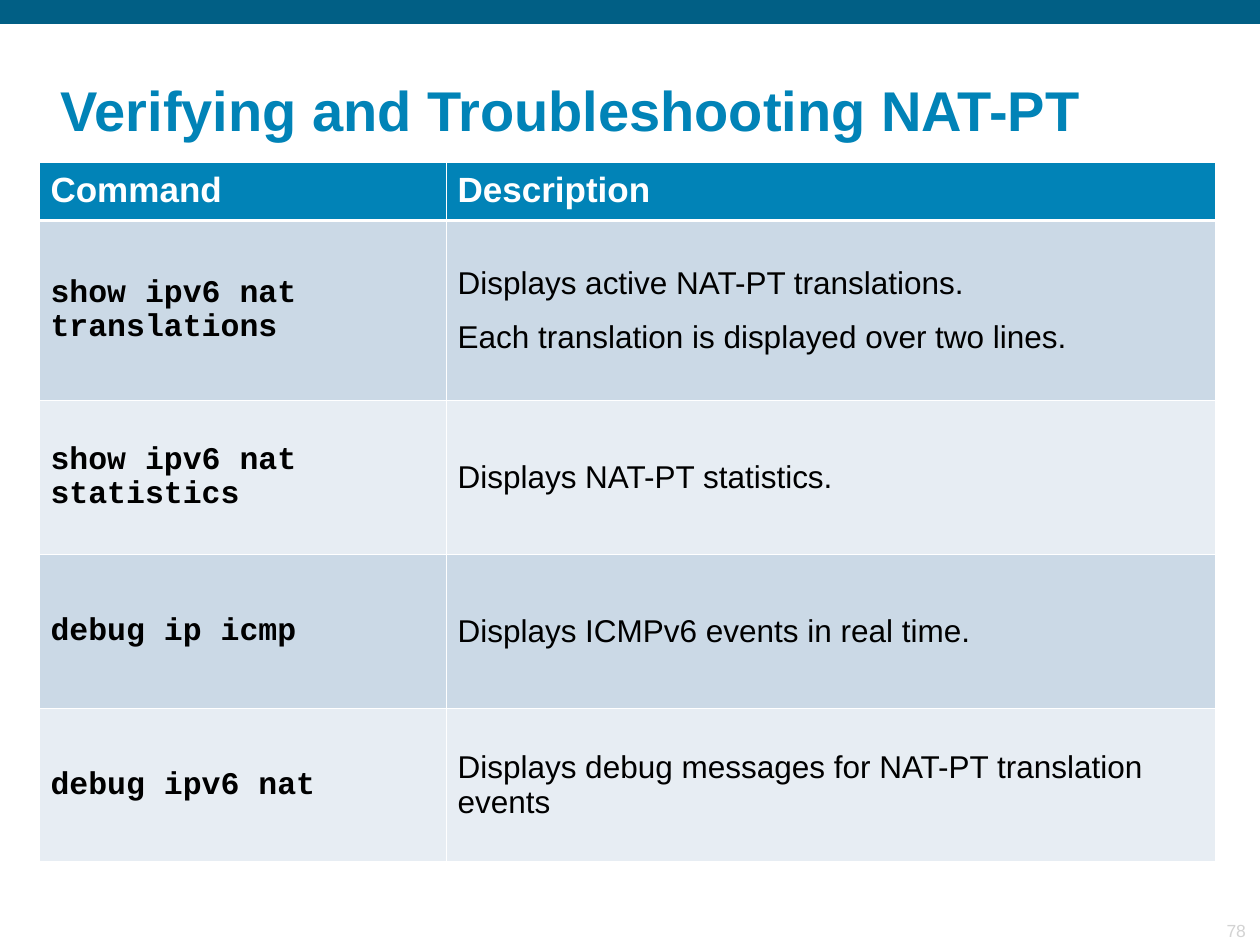
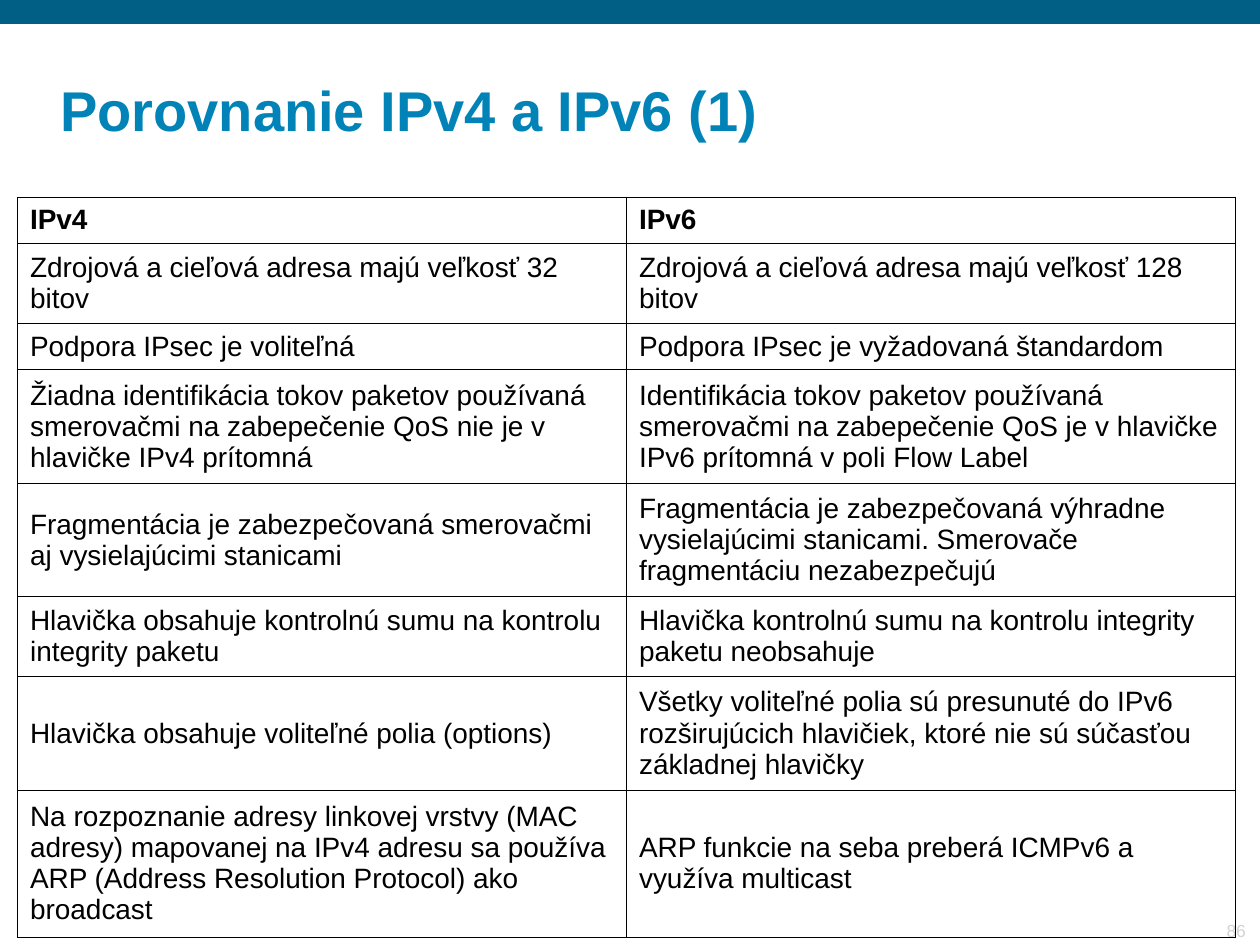
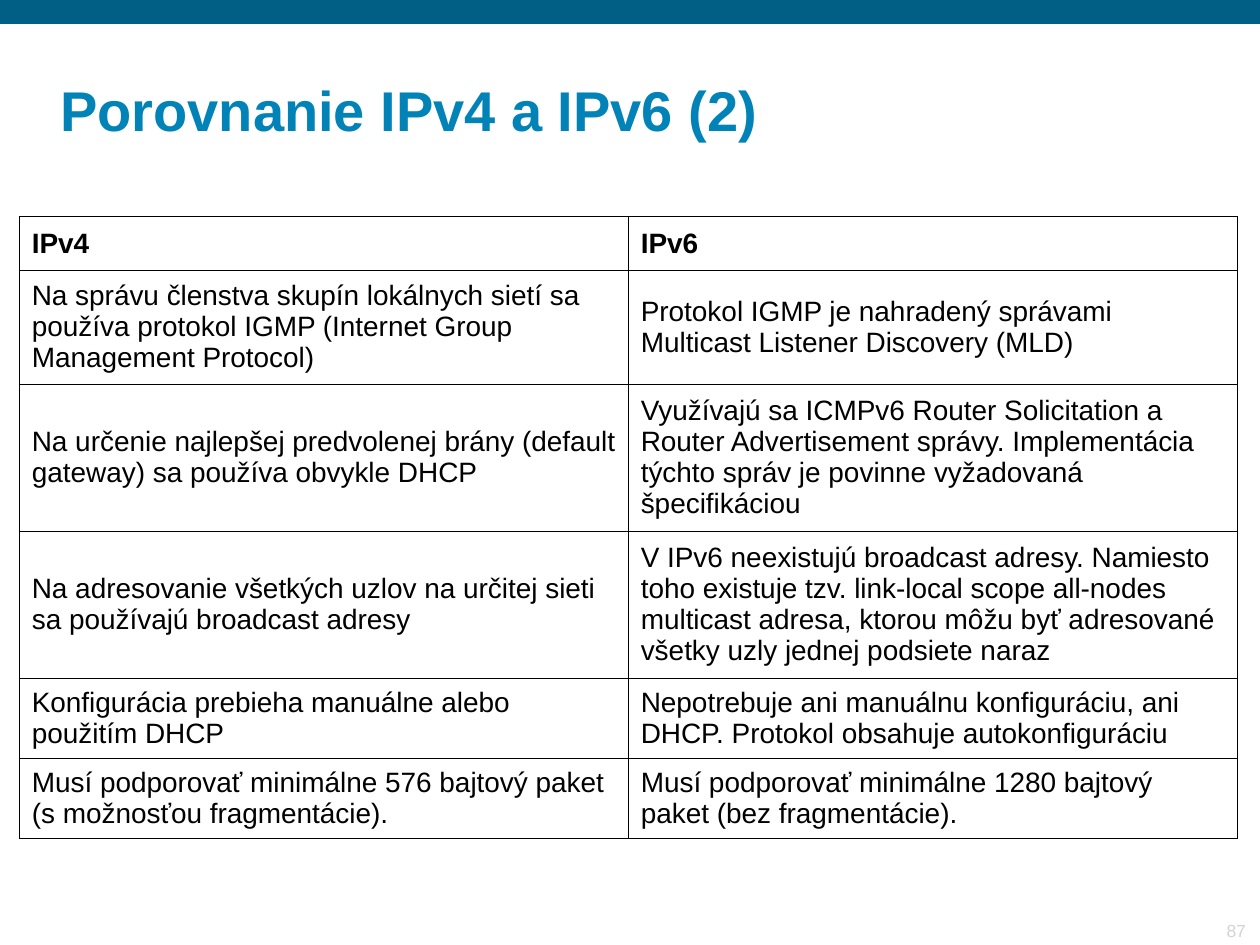
from lxml.etree import SubElement
from pptx import Presentation
from pptx.dml.color import RGBColor
from pptx.enum.shapes import MSO_SHAPE as SHAPE
from pptx.enum.text import MSO_ANCHOR as ANCHOR, MSO_AUTO_SIZE as AUTO, PP_ALIGN as ALIGN
from pptx.oxml.ns import qn
from pptx.util import Pt

BAND = RGBColor(0x01, 0x5F, 0x85)
ACCENT = RGBColor(0x01, 0x83, 0xB7)
ROW_DARK = RGBColor(0xCB, 0xD9, 0xE6)
ROW_LIGHT = RGBColor(0xE7, 0xED, 0xF3)
GREY = RGBColor(0xD3, 0xD3, 0xD3)
WHITE = RGBColor(0xFF, 0xFF, 0xFF)
BLACK = RGBColor(0x00, 0x00, 0x00)
SANS, MONO = "Arial", "Courier New"
THIN, THICK = 0.45, 1.47

COMMANDS = [
    ("Command", "Description"),
    ("show ipv6 nat translations",
     "Displays active NAT-PT translations.\nEach translation is displayed over two lines."),
    ("show ipv6 nat statistics", "Displays NAT-PT statistics."),
    ("debug ip icmp", "Displays ICMPv6 events in real time."),
    ("debug ipv6 nat", "Displays debug messages for NAT-PT translation events"),
]
COMPARISON_1 = [
    ("IPv4", "IPv6"),
    ("Zdrojová a cieľová adresa majú veľkosť 32 bitov",
     "Zdrojová a cieľová adresa majú veľkosť 128 bitov"),
    ("Podpora IPsec je voliteľná", "Podpora IPsec je vyžadovaná štandardom"),
    ("Žiadna identifikácia tokov paketov používaná smerovačmi na zabepečenie QoS "
     "nie je v hlavičke IPv4 prítomná",
     "Identifikácia tokov paketov používaná smerovačmi na zabepečenie QoS "
     "je v hlavičke IPv6 prítomná v poli Flow Label"),
    ("Fragmentácia je zabezpečovaná smerovačmi aj vysielajúcimi stanicami",
     "Fragmentácia je zabezpečovaná výhradne vysielajúcimi stanicami. "
     "Smerovače fragmentáciu nezabezpečujú"),
    ("Hlavička obsahuje kontrolnú sumu na kontrolu integrity paketu",
     "Hlavička kontrolnú sumu na kontrolu integrity paketu neobsahuje"),
    ("Hlavička obsahuje voliteľné polia (options)",
     "Všetky voliteľné polia sú presunuté do IPv6 rozširujúcich hlavičiek, "
     "ktoré nie sú súčasťou základnej hlavičky"),
    ("Na rozpoznanie adresy linkovej vrstvy (MAC adresy) mapovanej na IPv4 adresu "
     "sa používa ARP (Address Resolution Protocol) ako broadcast",
     "ARP funkcie na seba preberá ICMPv6 a využíva multicast"),
]
COMPARISON_2 = [
    ("IPv4", "IPv6"),
    ("Na správu členstva skupín lokálnych sietí sa používa protokol IGMP "
     "(Internet Group Management Protocol)",
     "Protokol IGMP je nahradený správami Multicast Listener Discovery (MLD)"),
    ("Na určenie najlepšej predvolenej brány (default gateway) sa používa obvykle DHCP",
     "Využívajú sa ICMPv6 Router Solicitation a Router Advertisement správy. "
     "Implementácia týchto správ je povinne vyžadovaná špecifikáciou"),
    ("Na adresovanie všetkých uzlov na určitej sieti sa používajú broadcast adresy",
     "V IPv6 neexistujú broadcast adresy. Namiesto toho existuje tzv. link-local scope "
     "all-nodes multicast adresa, ktorou môžu byť adresované všetky uzly jednej podsiete naraz"),
    ("Konfigurácia prebieha manuálne alebo použitím DHCP",
     "Nepotrebuje ani manuálnu konfiguráciu, ani DHCP. Protokol obsahuje autokonfiguráciu"),
    ("Musí podporovať minimálne 576 bajtový paket (s možnosťou fragmentácie).",
     "Musí podporovať minimálne 1280 bajtový paket (bez fragmentácie)."),
]


class Deck:
    def __init__(self):
        self.prs = Presentation()
        self.prs.slide_width, self.prs.slide_height = Pt(720), Pt(540)

    def slide(self, title, number):
        self.s = self.prs.slides.add_slide(self.prs.slide_layouts[5])
        self.band()
        self.page_number(number)
        self.title(title)

    def band(self):
        sp = self.s.shapes.add_shape(SHAPE.RECTANGLE, 0, 0, Pt(720), Pt(13.7))
        sp.shadow.inherit = False
        sp.fill.solid()
        sp.fill.fore_color.rgb = BAND
        sp.line.fill.background()

    def page_number(self, number):
        sp = self.s.shapes.add_textbox(Pt(660), Pt(522), Pt(58.5), Pt(18.5))
        self.frame(sp.text_frame, ANCHOR.BOTTOM)
        self.text(sp.text_frame, str(number), 10, GREY, align=ALIGN.RIGHT)

    def title(self, title):
        sp = self.s.shapes.title
        sp.left, sp.top, sp.width, sp.height = Pt(28), Pt(36), Pt(663), Pt(57)
        self.frame(sp.text_frame, ANCHOR.MIDDLE)
        self.text(sp.text_frame, title, 32, ACCENT, bold=True, spacing=0.9)

    def frame(self, tf, anchor):
        tf.word_wrap = True
        tf.auto_size = AUTO.NONE
        tf.vertical_anchor = anchor
        tf.margin_left = tf.margin_right = Pt(6.5)
        tf.margin_top = tf.margin_bottom = Pt(3)

    def text(self, tf, text, size, color, font=SANS, bold=False,
             align=ALIGN.LEFT, spacing=1.0, gap=0):
        tf.text = text
        for i, p in enumerate(tf.paragraphs):
            p.alignment = align
            p.line_spacing = spacing
            p.space_before = Pt(gap if i else 0)
            p.font.name, p.font.size, p.font.bold = font, Pt(size), bold
            p.font.color.rgb = color

    def table(self, left, top, widths, heights):
        shape = self.s.shapes.add_table(len(heights), len(widths), Pt(left), Pt(top),
                                        Pt(sum(widths)), Pt(sum(heights)))
        table = shape.table
        table.first_row = table.horz_banding = False
        for column, width in zip(table.columns, widths):
            column.width = Pt(width)
        for row, height in zip(table.rows, heights):
            row.height = Pt(height)
        return table

    def cell(self, cell, text, size, color, fill, border, inset, top=THIN, bottom=THIN, **style):
        cell.vertical_anchor = ANCHOR.MIDDLE
        cell.margin_left = cell.margin_right = Pt(inset)
        cell.margin_top = cell.margin_bottom = Pt(3.6)
        self.borders(cell, border, top, bottom)
        if fill is None:
            cell.fill.background()
        else:
            cell.fill.solid()
            cell.fill.fore_color.rgb = fill
        self.text(cell.text_frame, text, size, color, **style)

    def borders(self, cell, color, top, bottom):
        tc_pr = cell._tc.get_or_add_tcPr()
        for side, width in (("L", THIN), ("R", THIN), ("T", top), ("B", bottom)):
            ln = SubElement(tc_pr, qn(f"a:ln{side}"), w=str(Pt(width)))
            SubElement(SubElement(ln, qn("a:solidFill")), qn("a:srgbClr"), val=str(color))

    def command_table(self, rows):
        table = self.table(22.4, 93, (232.6, 439.4), (33, 103, 87.8, 87.8, 87.8))
        for r, row in enumerate(rows):
            for c, text in enumerate(row):
                head, command = r == 0, c == 0
                fill = ACCENT if head else ROW_DARK if r % 2 else ROW_LIGHT
                self.cell(table.cell(r, c), text, 20 if head else 18,
                          WHITE if head else BLACK, fill, WHITE, 6.5,
                          top=THICK if r == 1 else THIN, bottom=THICK if head else THIN,
                          font=MONO if command and not head else SANS,
                          bold=head or command,
                          spacing=0.95 if head or command else 1.0, gap=11.2)

    def comparison_table(self, left, top, heights, rows):
        table = self.table(left, top, (348, 348), heights)
        for r, row in enumerate(rows):
            for c, text in enumerate(row):
                self.cell(table.cell(r, c), text, 16, BLACK, None, BLACK, 7.2, bold=r == 0)


def main():
    deck = Deck()
    deck.slide("Verifying and Troubleshooting NAT-PT", 78)
    deck.command_table(COMMANDS)

    one, two, three, four = 26.5, 45.8, 64.8, 84
    deck.slide("Porovnanie IPv4 a IPv6 (1)", 86)
    deck.comparison_table(10, 112.6, (one, two, one, three, three, two, three, four), COMPARISON_1)

    deck.slide("Porovnanie IPv4 a IPv6 (2)", 87)
    deck.comparison_table(11, 123.6, (31, three, four, four, two, two), COMPARISON_2)
    deck.prs.save("out.pptx")


if __name__ == "__main__":
    main()
